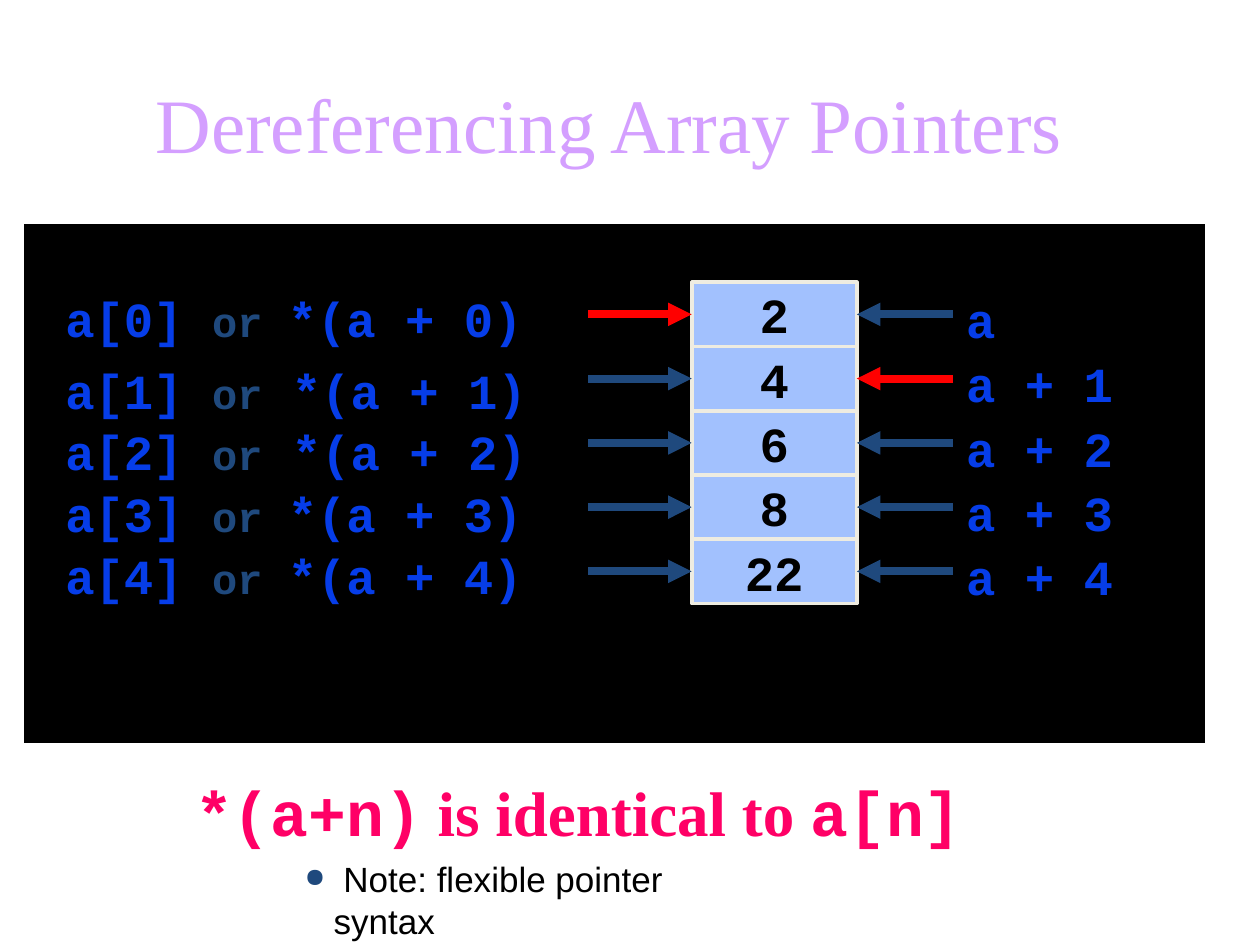
"""Build the slide on dereferencing array pointers."""
import pptx
import pptx.dml.color
import pptx.enum.shapes
import pptx.enum.text
import pptx.oxml
import pptx.util
from lxml import etree

Inches, Pt = pptx.util.Inches, pptx.util.Pt
SHAPE = pptx.enum.shapes.MSO_SHAPE
ANCHOR = pptx.enum.text.MSO_ANCHOR
CENTER = pptx.enum.text.PP_ALIGN.CENTER
MONO, SERIF, SANS = "Courier New", "Times New Roman", "Arial"
BLUE, NAVY, RED, PINK, BLACK = "063DE8", "1F497D", "FF0000", "FF0066", "000000"
ROW, TOP = 0.51, 2.24
CELL_LEFT, CELL_WIDTH = 5.49, 1.31
values = ["2", "4", "6", "8", "22"]


def rgb(value):
    """Turn a hex string into a colour."""
    return pptx.dml.color.RGBColor.from_string(value)


def write(sp, runs, bold=True, before=0, wrap=True):
    """Fill a shape with one paragraph of (text, size, font, colour) runs."""
    tf = sp.text_frame
    tf.word_wrap = wrap
    p = tf.paragraphs[0]
    p.space_before = Pt(before)
    for text, size, font, color in runs:
        r = p.add_run()
        r.text = text
        r.font.size, r.font.name, r.font.bold = Pt(size), font, bold
        r.font.color.rgb = rgb(color)
    return p


prs = pptx.Presentation()
prs.slide_width, prs.slide_height = Inches(10), Inches(7.5)
s = prs.slides.add_slide(prs.slide_layouts[5])

title = s.shapes.title
title.left, title.top, title.width, title.height = map(Inches, (0.53, 0.64, 8.61, 0.75))
title.text_frame.vertical_anchor = ANCHOR.BOTTOM
p = write(title, [("Dereferencing Array Pointers", 44, SERIF, "D49FFF")], bold=False)
p.alignment = CENTER

panel = s.shapes.add_shape(SHAPE.RECTANGLE, *map(Inches, (0.17, 1.75, 9.42, 4.17)))
panel.shadow.inherit = False
panel.fill.solid()
panel.fill.fore_color.rgb = rgb(BLACK)
panel.line.color.rgb = rgb("FFFFFF")
panel.line.width = Pt(3.5)

for i, value in enumerate(values):
    y = TOP + i * ROW
    cell = s.shapes.add_shape(SHAPE.RECTANGLE, *map(Inches, (CELL_LEFT, y, CELL_WIDTH, ROW)))
    cell.shadow.inherit = False
    cell.fill.solid()
    cell.fill.fore_color.rgb = rgb("A2C1FE")
    cell.line.color.rgb = rgb("EEECE1")
    cell.line.width = Pt(2)
    cell.text_frame.vertical_anchor = ANCHOR.MIDDLE
    p = write(cell, [(value, 28, MONO, BLACK)], before=6, wrap=False)
    p.alignment = CENTER

    for start, end, side, red_row in [(4.67, CELL_LEFT, 1, 0), (7.56, CELL_LEFT + CELL_WIDTH, 3, 1)]:
        mid = Inches(y + ROW / 2)
        arrow = s.shapes.add_connector(
            pptx.enum.shapes.MSO_CONNECTOR.STRAIGHT, Inches(start), mid, Inches(end), mid)
        arrow.end_connect(cell, side)
        arrow.line.color.rgb = rgb(RED if i == red_row else NAVY)
        arrow.line.width = Pt(4.5)
        etree.SubElement(arrow.line._get_or_add_ln(), pptx.oxml.ns.qn("a:tailEnd"), type="triangle")
        etree.SubElement(arrow._element.spPr, pptx.oxml.ns.qn("a:effectLst"))

    address = s.shapes.add_textbox(*map(Inches, (7.57, y + 0.01, 1.58, 0.57)))
    write(address, [(f"a + {i}" if i else "a", 28, MONO, BLUE)], before=6)

    label_top = 2.81 + (i - 1) * 0.49 if i else TOP
    label = s.shapes.add_textbox(*map(Inches, (0.42, label_top, 4.25, 0.57)))
    word, deref = ("or", f" *(a + {i})") if i in (1, 2) else ("or ", f"*(a + {i})")
    write(label, [(f"a[{i}] ", 28, MONO, BLUE), (word, 24, MONO, NAVY), (deref, 28, MONO, BLUE)],
          before=6)

rule = s.shapes.add_textbox(*map(Inches, (1.45, 6.09, 6.29, 0.7)))
write(rule, [("*(a+n)", 36, MONO, PINK), (" is identical to ", 36, SERIF, PINK),
             ("a[n]", 36, MONO, PINK)], wrap=False)

note = s.shapes.add_textbox(*map(Inches, (2.32, 6.76, 3.84, 0.43)))
p = write(note, [(" Note: flexible pointer syntax", 20, SANS, BLACK)], bold=False, before=4)
pPr = p._p.get_or_add_pPr()
pPr.set("marL", str(Inches(0.23)))
pPr.set("indent", str(-Inches(0.23)))
color = etree.SubElement(pPr, pptx.oxml.ns.qn("a:buClr"))
etree.SubElement(color, pptx.oxml.ns.qn("a:srgbClr"), val=NAVY)
etree.SubElement(pPr, pptx.oxml.ns.qn("a:buSzPct"), val="75000")
etree.SubElement(pPr, pptx.oxml.ns.qn("a:buChar"), char="●")

prs.save("out.pptx")
